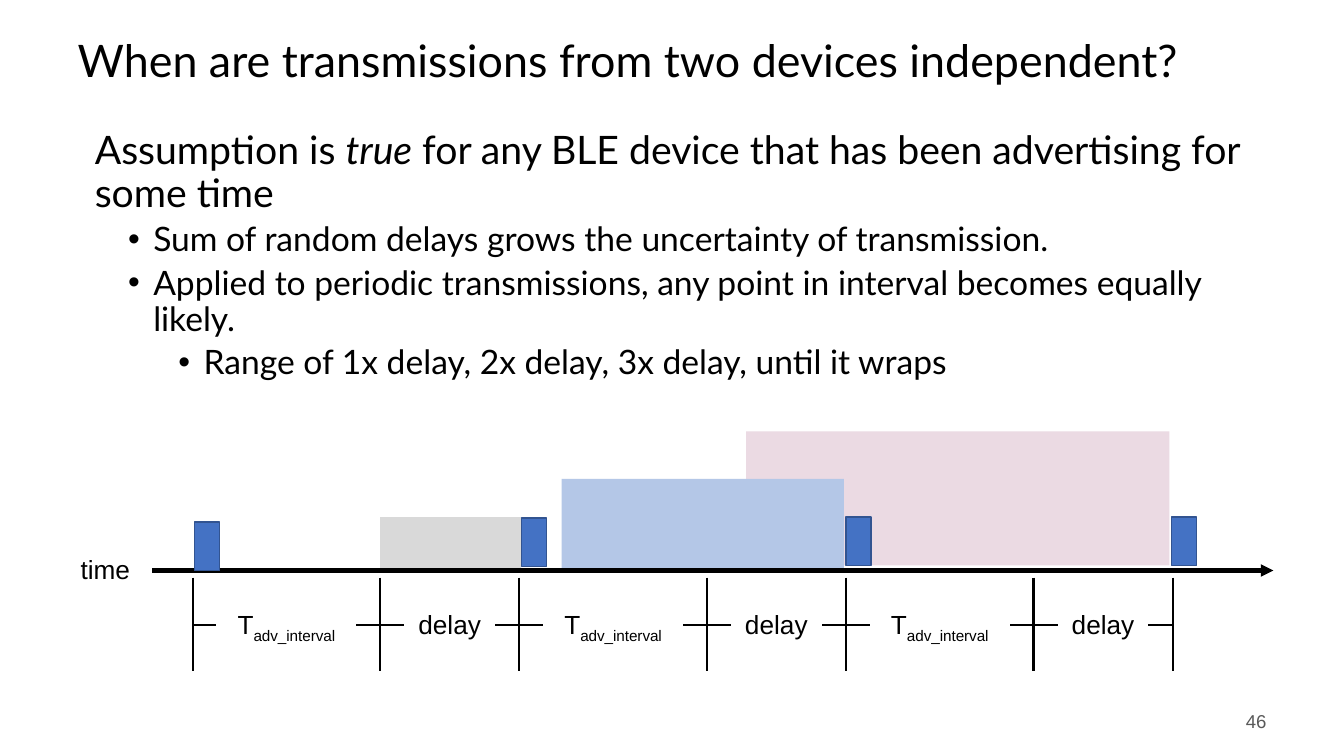
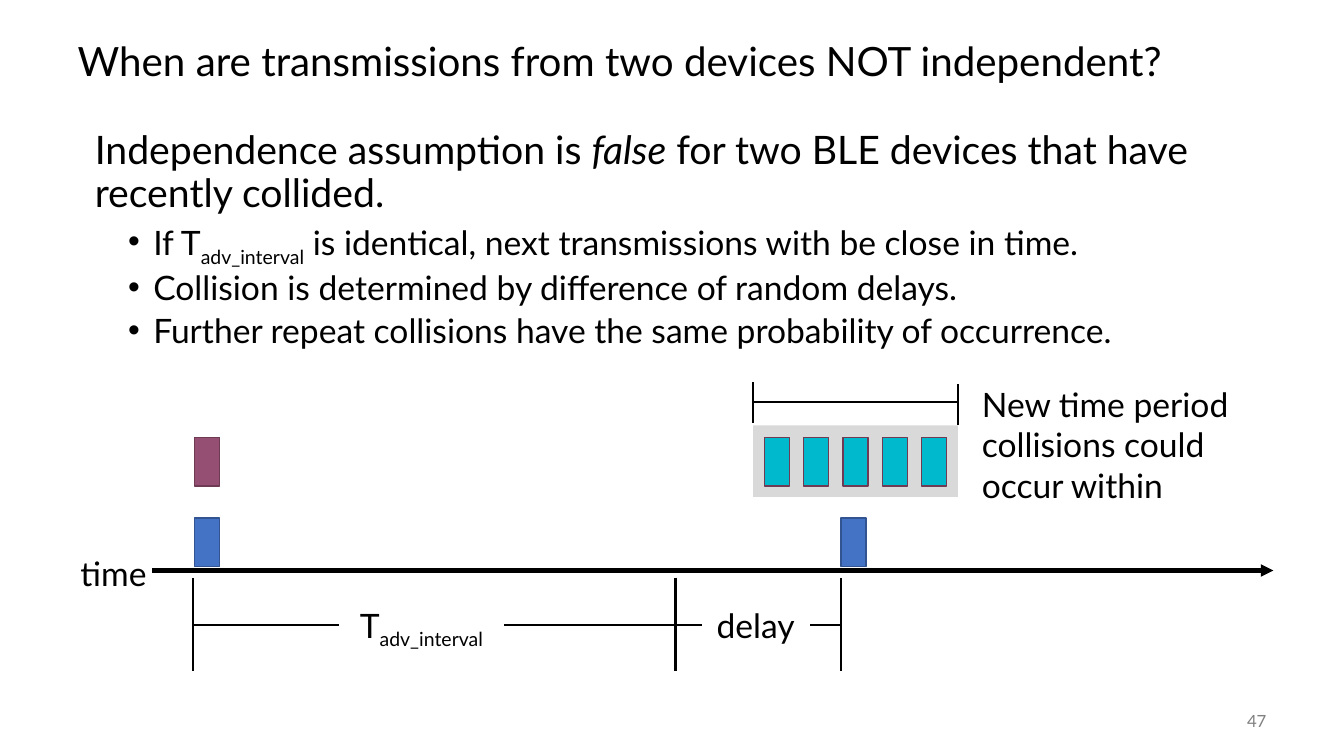
import dataclasses
import itertools

import pptx
import pptx.dml.color
import pptx.enum.shapes
import pptx.enum.text
import pptx.oxml.ns
import pptx.util
from lxml import etree

ALIGN = pptx.enum.text.PP_ALIGN
ANCHOR = pptx.enum.text.MSO_ANCHOR
COLUMNS, ROWS = 13.33, 7.5
CELL = pptx.util.Inches(1)


@dataclasses.dataclass(frozen=True)
class Theme:
    """Colours, fonts and type sizes of the deck."""
    ink: str = "000000"
    blue: str = "4472C4"
    blue_edge: str = "325491"
    plum: str = "954F72"
    plum_edge: str = "6E3A54"
    teal: str = "00B9CD"
    grey: str = "D9D9D9"
    pale_blue: str = "B4C7E7"
    pale_plum: str = "EBDAE3"
    number_dark: str = "595959"
    number_light: str = "808080"
    text_font: str = "Lato"
    plain_font: str = "Arial"
    title_size: float = 32
    long_title_size: float = 28.8
    lead_size: float = 28
    item_size: float = 24
    small_label_size: float = 18.7
    plain_number_size: float = 13.3
    number_size: float = 12
    axis_width: float = 3
    rule_width: float = 1.5
    edge_width: float = 1


@dataclasses.dataclass(frozen=True)
class Box:
    """A rectangle in columns and rows of the slide grid."""
    left: float
    top: float
    width: float
    height: float

    def inner(self, left, top, width, height):
        """Return a box placed relative to this one."""
        return Box(self.left + left, self.top + top, width, height)

    def lengths(self):
        """Return left, top, width and height as slide lengths."""
        return [round(value * CELL) for value in dataclasses.astuple(self)]


@dataclasses.dataclass(frozen=True)
class LabelStyle:
    """Type and box sizes of the labels of one timeline."""
    font: str
    size: float
    height: float
    time_width: float
    interval_width: float
    delay_width: float


THEME = Theme()
TITLE_BOX = Box(0.67, 0.25, 12, 0.75)
BODY_BOX = Box(0.67, 1.25, 12, 5.5)
NUMBER_BOX = Box(11.66, 6.95, 1, 0.4)
TIMELINE_BOX = Box(0.7, 3.66, 11.93, 3)
AXIS_ROW, TICK_ROW, SPAN_ROW = 2, 2.07, 2.54
AXIS_COLUMN, START_COLUMN = 0.81, 1.21
PACKET_WIDTH, PACKET_HEIGHT = 0.25, 0.48
DELAY_PART = 1.4
INTERVAL = [("T", ""), ("adv_interval", "sub")]
DELAY = [("delay", "")]
INDENTS = [(0.17, 0), (0.75, -0.25), (1.25, -0.25)]


def rgb(value):
    """Turn a hex string into a colour."""
    return pptx.dml.color.RGBColor.from_string(value)


def add_element(parent, tag, **attributes):
    """Append a drawing element with the given attributes."""
    return etree.SubElement(parent, pptx.oxml.ns.qn(tag), **attributes)


def write(para, spans, *, size, font=THEME.text_font, color=THEME.ink,
          align=ALIGN.LEFT, spacing=None, before=0):
    """Write (text, style) spans into a paragraph with one format."""
    para.alignment = align
    para.space_before = pptx.util.Pt(before)
    if spacing:
        para.line_spacing = spacing
    for text, style in spans:
        span = para.add_run()
        span.text = text
        span.font.name = font
        span.font.size = pptx.util.Pt(size)
        span.font.color.rgb = rgb(color)
        if style == "italic":
            span.font.italic = True
        if style == "sub":
            span._r.get_or_add_rPr().set("baseline", "-25000")


def add_label(page, box, spans, anchor=ANCHOR.TOP, **text_format):
    """Add a wrapping text box with one paragraph."""
    label = page.shapes.add_textbox(*box.lengths())
    label.text_frame.word_wrap = True
    label.text_frame.vertical_anchor = anchor
    write(label.text_frame.paragraphs[0], spans, **text_format)
    return label


def add_block(page, box, fill, edge=None):
    """Add a flat rectangle with an optional outline."""
    block = page.shapes.add_shape(pptx.enum.shapes.MSO_SHAPE.RECTANGLE, *box.lengths())
    block.shadow.inherit = False
    block.fill.solid()
    block.fill.fore_color.rgb = rgb(fill)
    if edge:
        block.line.color.rgb = rgb(edge)
        block.line.width = pptx.util.Pt(THEME.edge_width)
    else:
        block.line.fill.background()


def add_rule(page, box, start, end, width=THEME.rule_width, arrow=False):
    """Add a straight line between two points relative to a box."""
    points = [round(value * CELL) for column, row in (start, end)
              for value in (box.left + column, box.top + row)]
    rule = page.shapes.add_connector(pptx.enum.shapes.MSO_CONNECTOR.STRAIGHT, *points)
    rule.line.color.rgb = rgb(THEME.ink)
    rule.line.width = pptx.util.Pt(width)
    if arrow:
        add_element(rule.line._get_or_add_ln(), "a:tailEnd", type="triangle")
    add_element(rule._element.spPr, "a:effectLst")
    return rule


def set_bullet(para, level):
    """Set the indent and bullet of an outline level."""
    para.level = level
    margin, indent = INDENTS[level]
    properties = para._p.get_or_add_pPr()
    properties.set("marL", str(round(margin * CELL)))
    properties.set("indent", str(round(indent * CELL)))
    if level:
        add_element(properties, "a:buFont", typeface="Arial")
        add_element(properties, "a:buChar", char="•")
    else:
        add_element(properties, "a:buNone")


def place_placeholder(holder, box, anchor):
    """Move a placeholder to a box and return its text frame."""
    holder.left, holder.top, holder.width, holder.height = box.lengths()
    frame = holder.text_frame
    frame.word_wrap = True
    frame.auto_size = pptx.enum.text.MSO_AUTO_SIZE.NONE
    frame.vertical_anchor = anchor
    return frame


def fill_body(holder, box, outline):
    """Fill the body placeholder with (level, spans) paragraphs."""
    frame = place_placeholder(holder, box, ANCHOR.TOP)
    for index, (level, spans) in enumerate(outline):
        para = frame.add_paragraph() if index else frame.paragraphs[0]
        set_bullet(para, level)
        write(para, spans, size=THEME.item_size if level else THEME.lead_size,
              spacing=0.9, before=5 if index else 0)


def add_page(deck, title, title_size, outline, number, **number_format):
    """Add a slide with its title, outline and page number."""
    page = deck.slides.add_slide(deck.slide_layouts[1])
    frame = place_placeholder(page.shapes.title, TITLE_BOX, ANCHOR.MIDDLE)
    write(frame.paragraphs[0], [(title, "")], size=title_size, spacing=0.9)
    fill_body(page.placeholders[1], BODY_BOX, outline)
    add_label(page, NUMBER_BOX, [(number, "")], ANCHOR.MIDDLE,
              align=ALIGN.RIGHT, **number_format)
    return page


def draw_axis(page, box, style):
    """Draw the time arrow and its label."""
    add_rule(page, box, (AXIS_COLUMN, AXIS_ROW), (box.width, AXIS_ROW),
             THEME.axis_width, arrow=True)
    add_label(page, box.inner(0, 1.78, style.time_width, style.height),
              [("time", "")], size=style.size, font=style.font)


def draw_span(page, box, left, right, spans, width, style, lead=None):
    """Draw a label joined by arms to the ticks on both sides."""
    if lead is None:
        lead = (right - left - width) / 2
    start = left + lead
    place = box.inner(start, SPAN_ROW - style.height / 2, width, style.height)
    label = add_label(page, place, spans, size=style.size, font=style.font,
                      align=ALIGN.CENTER)
    for column, edge, side in ((left, start, 1), (right, start + width, 3)):
        arm = add_rule(page, box, (column, SPAN_ROW), (edge, SPAN_ROW))
        arm.end_connect(label, side)


def draw_spans(page, box, lengths, style, leads):
    """Draw the ticks and the alternating interval and delay spans."""
    ticks = list(itertools.accumulate(lengths, initial=START_COLUMN))
    for column in ticks:
        add_rule(page, box, (column, TICK_ROW), (column, box.height))
    kinds = itertools.cycle([(INTERVAL, style.interval_width),
                             (DELAY, style.delay_width)])
    for (left, right), (spans, width), lead in zip(itertools.pairwise(ticks), kinds, leads):
        draw_span(page, box, left, right, spans, width, style, lead)


def draw_packets(page, box, corners, fill, edge):
    """Draw a transmission block at each corner."""
    for column, row in corners:
        place = box.inner(column, row, PACKET_WIDTH, PACKET_HEIGHT)
        add_block(page, place, fill, edge)


def draw_window(page, box, right, top, height, count, fill):
    """Draw a window of several delays that ends at a column."""
    width = count * DELAY_PART
    add_block(page, box.inner(right - width, top, width, height), fill)


def draw_growing_delays(page, box):
    """Draw the timeline whose delay window widens each round."""
    style = LabelStyle(THEME.plain_font, THEME.small_label_size, 0.42, 0.81, 1.39, 0.9)
    draw_window(page, box, 10.9, 0.62, 1.33, 3, THEME.pale_plum)
    draw_window(page, box, 4.47, 1.47, 0.51, 1, THEME.grey)
    draw_window(page, box, 7.67, 1.09, 0.89, 2, THEME.pale_blue)
    draw_axis(page, box, style)
    draw_packets(page, box, [(1.23, 1.52), (4.47, 1.48), (7.69, 1.47), (10.92, 1.47)],
                 THEME.blue, THEME.blue_edge)
    draw_spans(page, box, [1.86, 1.38] * 3, style, itertools.repeat(None))


def draw_collision_window(page, box):
    """Draw the timeline with the period of repeat collisions."""
    style = LabelStyle(THEME.text_font, THEME.item_size, 0.5, 1.64, 1.64, 1.07)
    left, width = 6.77, 2.03
    add_block(page, box.inner(left, 0.56, width, 0.71), THEME.grey)
    draw_axis(page, box, style)
    draw_packets(page, box, [(1.23, 1.48), (7.64, 1.48)], THEME.blue, THEME.blue_edge)
    draw_packets(page, box, [(1.23, 0.68)], THEME.plum, THEME.plum_edge)
    draw_packets(page, box, [(6.88 + 0.39 * step, 0.68) for step in range(5)],
                 THEME.teal, THEME.plum_edge)
    draw_spans(page, box, [4.79, 1.64], style, [1.45, 0.26])
    for column, top in ((left, 0.13), (left + width, 0.15)):
        add_rule(page, box, (column, top), (column, top + 0.41))
    add_rule(page, box, (left, 0.33), (left + width, 0.33))
    add_label(page, box.inner(8.94, 0.1, 2.9, 1.31),
              [("New time period collisions could occur within", "")], size=style.size)


def main():
    """Build and save the deck."""
    deck = pptx.Presentation()
    deck.slide_width = round(COLUMNS * CELL)
    deck.slide_height = round(ROWS * CELL)
    title = "When are transmissions from two devices independent?"
    page = add_page(deck, title, THEME.title_size, [
        (0, [("Assumption is ", ""), ("true", "italic"),
             (" for any BLE device that has been advertising for some time", "")]),
        (1, [("Sum of random delays grows the uncertainty of transmission.", "")]),
        (1, [("Applied to periodic transmissions, any point in interval becomes "
              "equally likely.", "")]),
        (2, [("Range of 1x delay, 2x delay, 3x delay, until it wraps", "")]),
    ], "46", size=THEME.plain_number_size, font=THEME.plain_font, color=THEME.number_dark)
    draw_growing_delays(page, TIMELINE_BOX)
    title = "When are transmissions from two devices NOT independent?"
    page = add_page(deck, title, THEME.long_title_size, [
        (0, [("Independence assumption is ", ""), ("false", "italic"),
             (" for two BLE devices that have recently collided.", "")]),
        (1, [("If ", ""), *INTERVAL,
             (" is identical, next transmissions with be close in time.", "")]),
        (1, [("Collision is determined by difference of random delays.", "")]),
        (1, [("Further repeat collisions have the same probability of occurrence.", "")]),
    ], "47", size=THEME.number_size, color=THEME.number_light)
    draw_collision_window(page, TIMELINE_BOX)
    deck.save("out.pptx")


if __name__ == "__main__":
    main()
